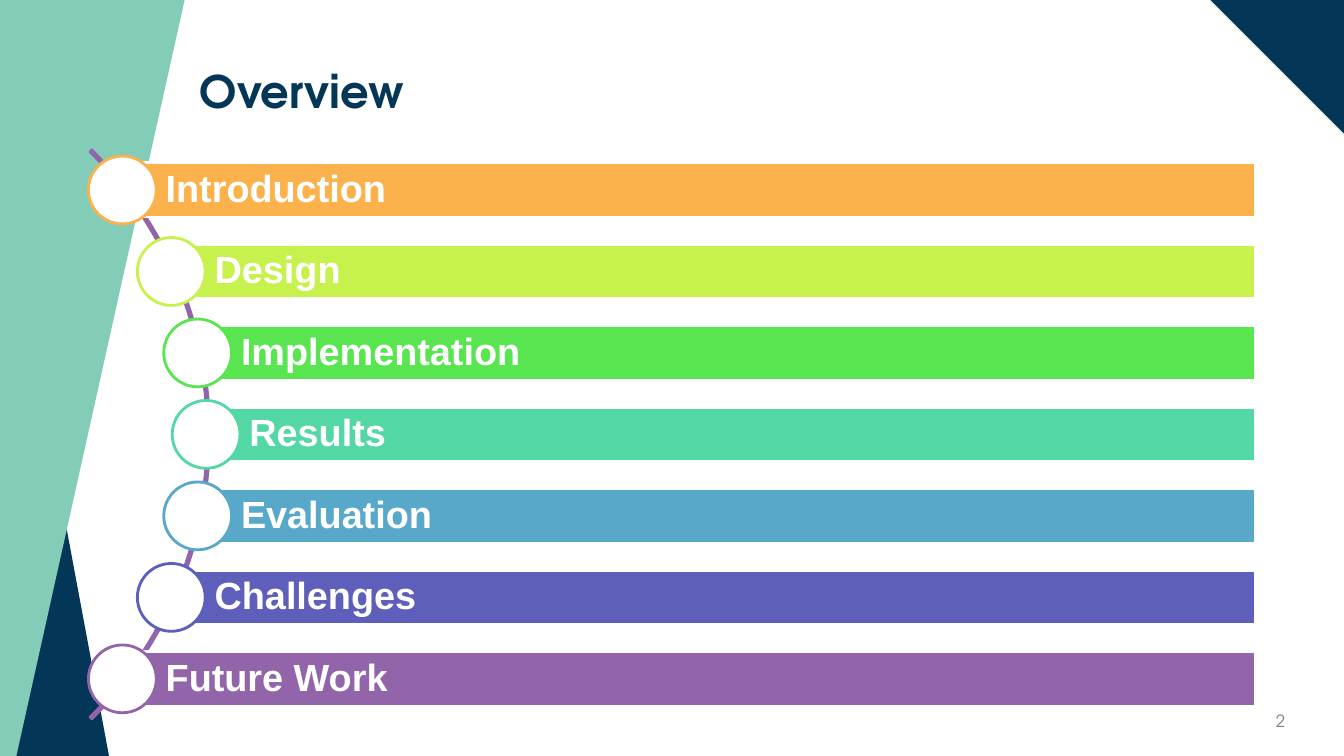
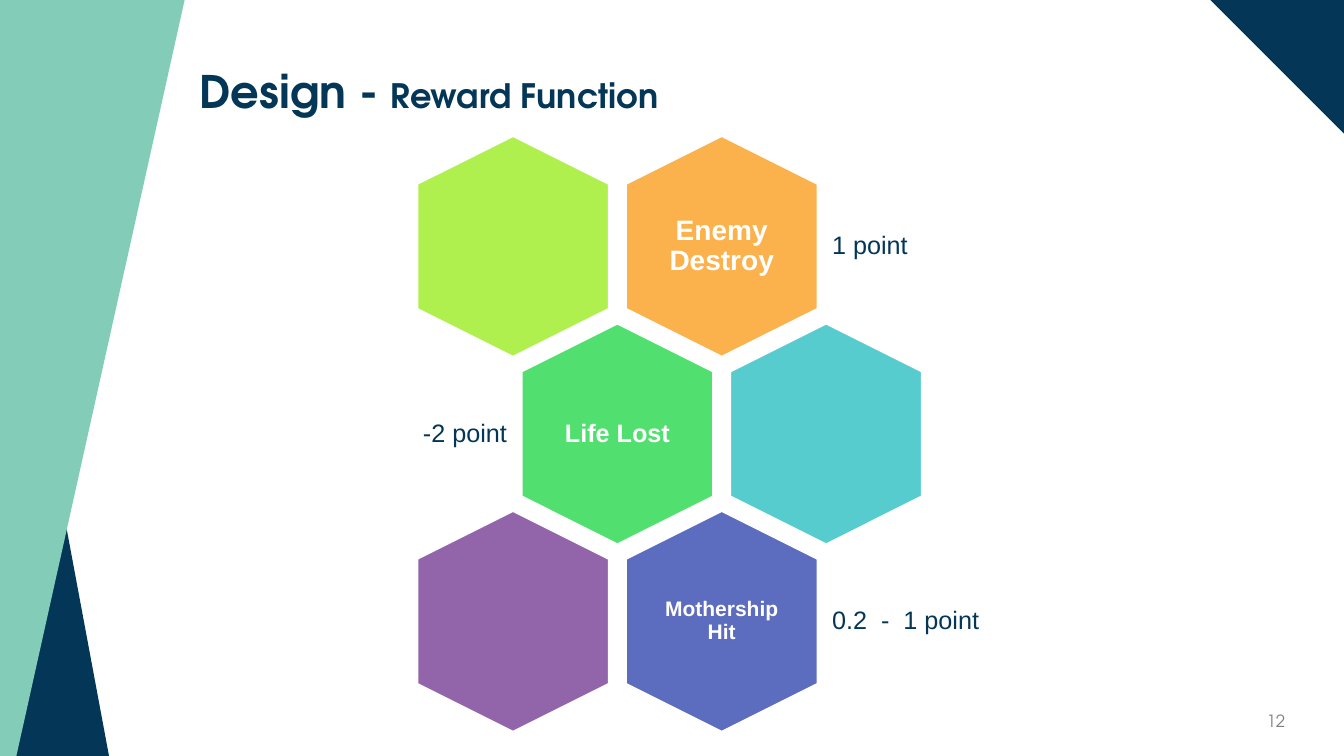
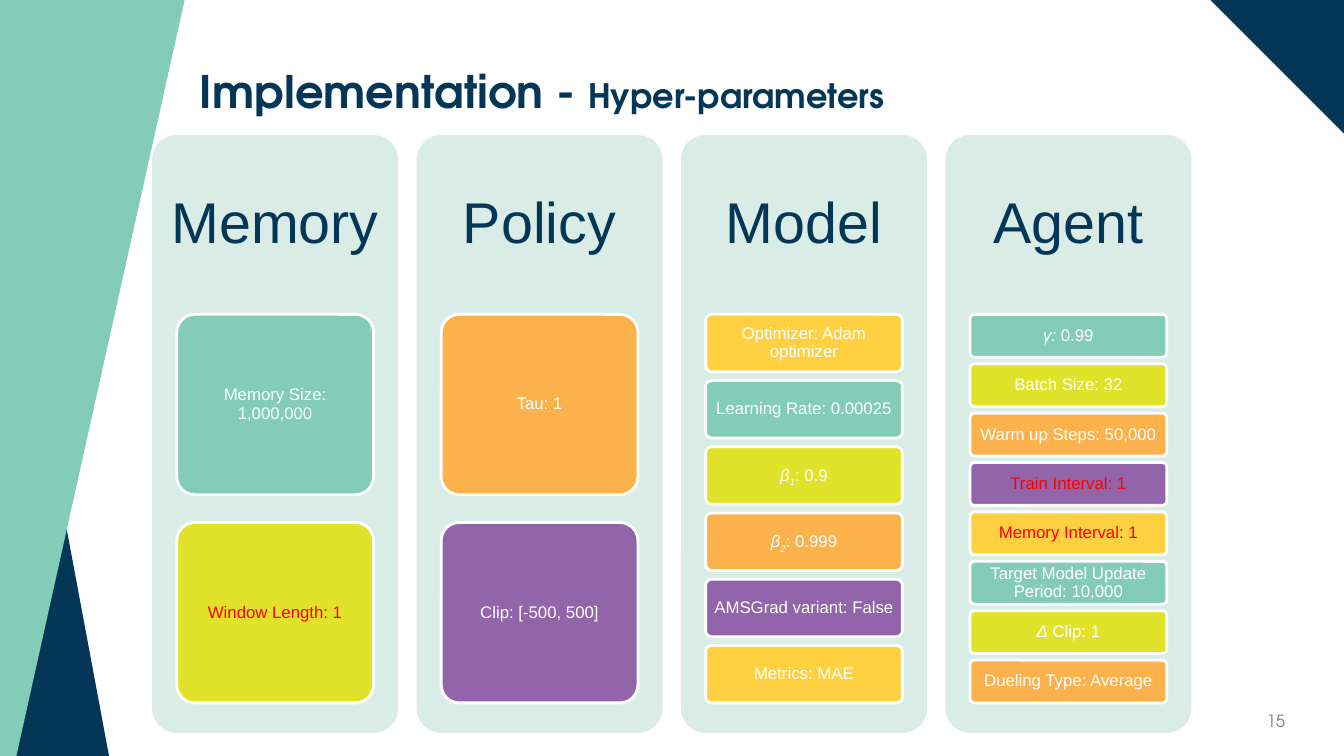
from dataclasses import dataclass
from itertools import cycle
from math import sqrt

from pptx import Presentation
from pptx import util as u
from pptx.dml.color import RGBColor
from pptx.enum import shapes, text

SH, AL, AN = shapes.MSO_SHAPE, text.PP_ALIGN, text.MSO_ANCHOR
COLS, ROWS = 160, 90          # slide grid; one cell is 1/12 inch
CELL = u.Inches(1) / 12


@dataclass(frozen=True)
class Theme:
    # Colours
    navy: str = "043657"
    teal: str = "83CDB8"
    mint: str = "D9EDE6"
    orange: str = "FCB24C"
    purple: str = "9264AA"
    lime: str = "E0E329"
    yellow: str = "FFD140"
    white: str = "FFFFFF"
    grey: str = "7F7F7F"
    red: str = "FF0000"
    # Fonts
    head: str = "TeX Gyre Adventor"
    body: str = "Arial"
    # Sizes in points
    title: int = 32
    subtitle: int = 24
    panel: int = 41
    bar: int = 27
    label: int = 18
    small: int = 12
    line: int = 2


T = Theme()


def g(n):
    """Grid cells to slide units."""
    return u.Emu(round(n * CELL))


class Deck:
    def __init__(self):
        self.prs = Presentation()
        self.prs.slide_width, self.prs.slide_height = g(COLS), g(ROWS)
        self.s = None

    def slide(self, number, title, subtitle=None):
        self.s = self.prs.slides.add_slide(self.prs.slide_layouts[5])
        # Corner and side bands
        self.shape(SH.RIGHT_TRIANGLE, 144, -0.1, 16.2, 16.2, T.navy).rotation = 180
        self.shape(SH.RIGHT_TRIANGLE, 0, 20.4, 13, 69.7, T.navy)
        self.outline([(22, -0.1), (0, -0.1), (0, ROWS), (1.95, ROWS)], T.teal)
        # Page number
        self.text(118.2, 83.4, 36, 4.8, str(number), T.small, T.grey,
                  align=AL.RIGHT, font=T.head, spacing=1)
        # Title
        sp = self.s.shapes.title
        sp.left, sp.top, sp.width, sp.height = map(g, (22.56, 4.8, 131.64, 12.72))
        runs = [(title, {})]
        if subtitle:
            runs = [(title + " - ", {}), (subtitle, {"size": T.subtitle})]
        self.label(sp, runs, T.title, T.navy, bold=True, font=T.head)

    def paint(self, sp, fill=None, line=None):
        sp.shadow.inherit = False
        if fill:
            sp.fill.solid()
            sp.fill.fore_color.rgb = RGBColor.from_string(fill)
        else:
            sp.fill.background()
        if line:
            sp.line.color.rgb = RGBColor.from_string(line)
            sp.line.width = u.Pt(T.line)
        else:
            sp.line.fill.background()
        return sp

    def shape(self, kind, x, y, w, h, fill=None, line=None):
        sp = self.s.shapes.add_shape(kind, g(x), g(y), g(w), g(h))
        return self.paint(sp, fill, line)

    def outline(self, points, fill):
        first, *rest = [(g(x), g(y)) for x, y in points]
        fb = self.s.shapes.build_freeform(*first)
        fb.add_line_segments(rest, close=True)
        return self.paint(fb.convert_to_shape(), fill)

    def text(self, x, y, w, h, content, size, color, **style):
        sp = self.s.shapes.add_textbox(g(x), g(y), g(w), g(h))
        self.label(sp, content, size, color, **style)

    def label(self, sp, content, size, color, align=AL.LEFT, bold=False,
              font=T.body, spacing=0.9, inset=(1.2, 0.6, 1.2, 0.6)):
        """Fill a shape with a string or a list of (text, run style)."""
        tf = sp.text_frame
        tf.word_wrap, tf.auto_size = True, text.MSO_AUTO_SIZE.NONE
        tf.vertical_anchor = AN.MIDDLE
        (tf.margin_left, tf.margin_top,
         tf.margin_right, tf.margin_bottom) = map(g, inset)
        p = tf.paragraphs[0]
        p.alignment, p.line_spacing = align, spacing
        for words, style in [(content, {})] if isinstance(content, str) else content:
            r = p.add_run()
            r.text = words
            f = r.font
            f.name, f.bold, f.size = font, bold, u.Pt(style.get("size", size))
            f.italic = style.get("italic", False)
            f.color.rgb = RGBColor.from_string(color)
            if "base" in style:
                r._r.get_or_add_rPr().set("baseline", str(style["base"] * 1000))


def overview(d):
    d.slide(2, "Overview")
    cx, cy, size = -22.92, 51.72, 95.76
    arc = d.shape(SH.BLOCK_ARC, cx - size / 2, cy - size / 2, size, size, line=T.purple)
    for i, value in enumerate((189, 27, 0.003)):
        arc.adjustments[i] = value
    topics = [("Introduction", T.orange), ("Design", "C7F14D"),
              ("Implementation", "59E550"), ("Results", "53D8A5"),
              ("Evaluation", "58A8CA"), ("Challenges", "5D5FBA"),
              ("Future Work", T.purple)]
    radius, step, right, bar_h, node = 47.46, 9.7, 149.5, 6.46, 8.08
    # Each bar starts at its node, and the nodes follow the arc
    for i, (name, color) in enumerate(topics):
        dy = (i - len(topics) // 2) * step
        x, y = cx + sqrt(radius ** 2 - dy ** 2), cy + dy
        bar = d.shape(SH.RECTANGLE, x, y - bar_h / 2, right - x, bar_h, color, T.white)
        d.label(bar, name, T.bar, T.white, bold=True, inset=(5.16, 0.84, 0.84, 0.84))
        d.shape(SH.OVAL, x - node / 2, y - node / 2, node, node, T.white, color)


def rewards(d):
    d.slide(12, "Design", "Reward Function")
    w, h, dx, dy = 26.4, 22.92, 24.84, 22.32
    box_w, box_h, label_w, label_h, gap = 15.84, 18.12, 29.4, 15.84, 12.3
    # Row, column, colour, name, name size, points, side of the points
    cells = [(0, 0, "AFEF4E", None, 0, None, 0),
             (0, 1, T.orange, "Enemy Destroy", 20, "1 point", 1),
             (1, 0, "51E06F", "Life Lost", 18, "-2 point", -1),
             (1, 1, "56CCCF", None, 0, None, 0),
             (2, 0, T.purple, None, 0, None, 0),
             (2, 1, "5C6CBE", "Mothership Hit", 15, "0.2  -  1 point", 1)]
    pad = (0.84,) * 4
    for row, col, color, name, size, points, side in cells:
        cx = 61.08 + (col + row % 2 / 2) * dx
        cy = 29.34 + row * dy
        d.shape(SH.HEXAGON, cx - w / 2, cy - h / 2, w, h, color, T.white).rotation = 90
        if name:
            d.text(cx - box_w / 2, cy - box_h / 2, box_w, box_h, name, size, T.white,
                   align=AL.CENTER, bold=True, inset=pad)
            x = cx + gap if side > 0 else cx - gap - label_w
            d.text(x, cy - label_h / 2, label_w, label_h, points, T.label, T.navy,
                   align=AL.LEFT if side > 0 else AL.RIGHT, inset=pad)


def parameters(d):
    d.slide(15, "Implementation", "Hyper-parameters")
    it = {"italic": True}

    def beta(index, value):
        return [("β", it), (index, {"italic": True, "base": -25}), (": " + value, {})]

    panels = {
        "Memory": ["Memory Size: 1,000,000", "Window Length: 1"],
        "Policy": ["Tau: 1", "Clip: [-500, 500]"],
        "Model": ["Optimizer: Adam optimizer", "Learning Rate: 0.00025",
                  beta("1", "0.9"), beta("2", "0.999"),
                  "AMSGrad variant: False", "Metrics: MAE"],
        "Agent": [[("γ: ", it), ("0.99", {})], "Batch Size: 32",
                  "Warm up Steps: 50,000", "Train Interval: 1", "Memory Interval: 1",
                  "Target Model Update Period: 10,000",
                  [("Δ", it), (" Clip: 1", {})], "Dueling Type: Average"],
    }
    marked = ("Window Length: 1", "Train Interval: 1", "Memory Interval: 1")
    colors = cycle((T.teal, T.lime, T.orange, T.purple, T.yellow))
    top, w, h, step = 16.08, 29.28, 71.16, 31.48
    for i, (name, cards) in enumerate(panels.items()):
        x = 18.12 + i * step
        panel = d.shape(SH.ROUNDED_RECTANGLE, x, top, w, h, T.mint)
        panel.adjustments[0] = 0.1
        d.text(x, top, w, 0.3 * h, name, T.panel, T.navy,
               align=AL.CENTER, inset=(2.04,) * 4)
        # Cards share 65 % of the panel; a gap is 2/13 of a card
        card_h = 0.65 * h / (len(cards) + (len(cards) - 1) * 2 / 13)
        for j, content in enumerate(cards):
            y = top + 0.3 * h + j * card_h * 15 / 13
            card = d.shape(SH.ROUNDED_RECTANGLE, x + 0.1 * w, y, 0.8 * w, card_h,
                           next(colors), T.white)
            card.adjustments[0] = 0.1
            d.label(card, content, T.small, T.red if content in marked else T.white,
                    align=AL.CENTER, inset=(0.36,) * 4)


def main():
    d = Deck()
    overview(d)
    rewards(d)
    parameters(d)
    d.prs.save("out.pptx")


if __name__ == "__main__":
    main()
